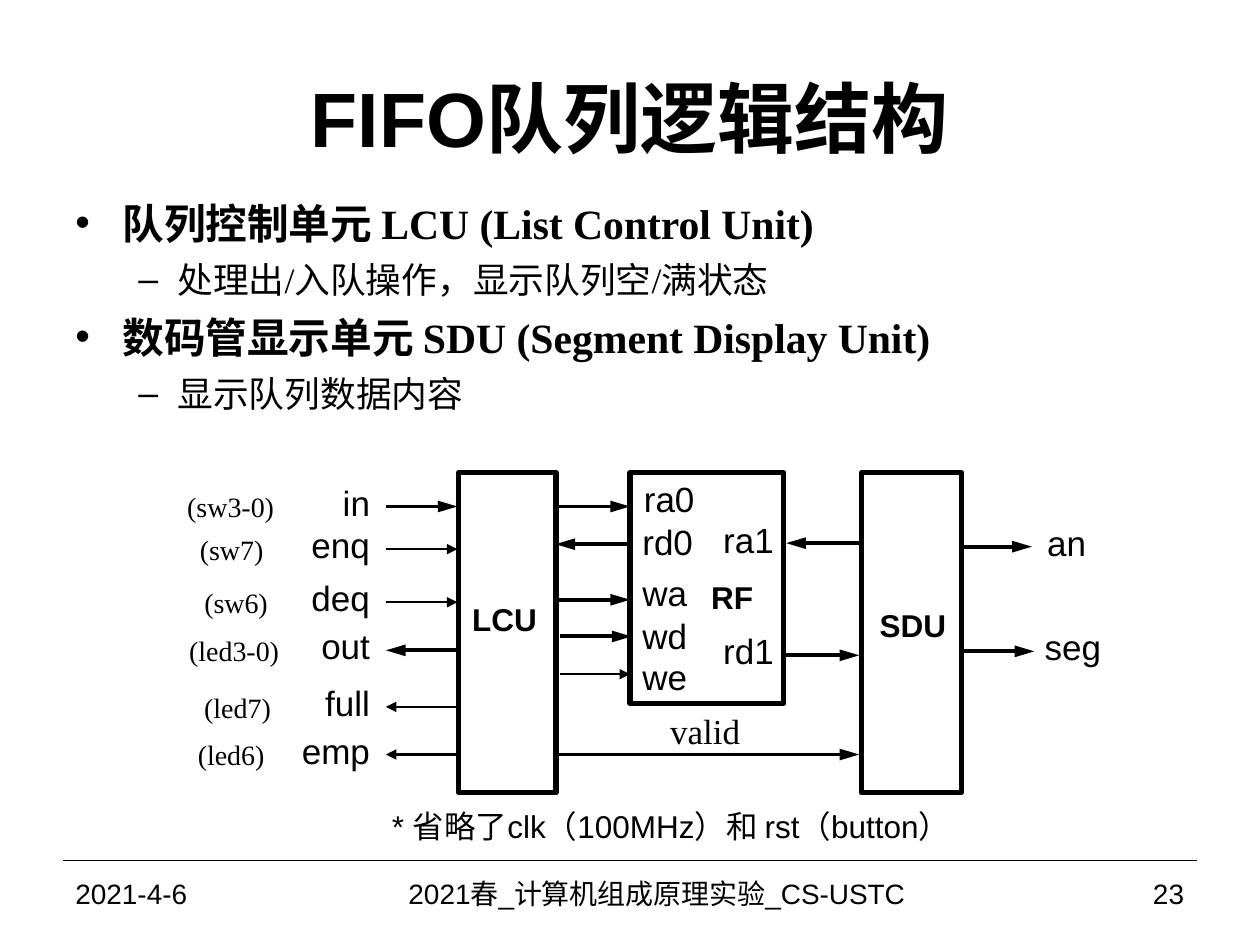
"""Build the slide on the logic structure of a FIFO queue."""
from lxml import etree
from pptx import Presentation
from pptx import util as u
from pptx.dml.color import RGBColor
from pptx.enum import shapes, text
from pptx.oxml import ns

LEFT, CENTER, RIGHT = text.PP_ALIGN.LEFT, text.PP_ALIGN.CENTER, text.PP_ALIGN.RIGHT
SERIF = "Times New Roman"
BLACK = "000000"
LABEL_HEIGHT = 0.84

deck = Presentation()
deck.slide_width, deck.slide_height = u.Cm(25.4), u.Cm(19.05)
slide = deck.slides.add_slide(deck.slide_layouts[6])


def label(words, left, width, middle, size=20, align=LEFT, name="Arial", bold=False):
    box = slide.shapes.add_textbox(
        u.Cm(left), u.Cm(middle - LABEL_HEIGHT / 2), u.Cm(width), u.Cm(LABEL_HEIGHT))
    frame = box.text_frame
    layout = {"margin_left": 0, "margin_right": 0, "margin_top": 0, "margin_bottom": 0,
              "word_wrap": False, "vertical_anchor": text.MSO_ANCHOR.MIDDLE}
    for key, value in layout.items():
        setattr(frame, key, value)
    line = frame.paragraphs[0]
    line.alignment = align
    run = line.add_run()
    run.text = words
    for key, value in {"size": u.Pt(size), "name": name, "bold": bold}.items():
        setattr(run.font, key, value)
    run.font.color.rgb = RGBColor.from_string(BLACK)


def wire(start, end, y, width=2.25, arrow=True):
    link = slide.shapes.add_connector(
        shapes.MSO_CONNECTOR.STRAIGHT, u.Cm(start), u.Cm(y), u.Cm(end), u.Cm(y))
    link.line.width = u.Pt(width)
    link.line.color.rgb = RGBColor.from_string(BLACK)
    if arrow:
        etree.SubElement(link.line._get_or_add_ln(), ns.qn("a:tailEnd"),
                         type="triangle", w="med", len="lg" if width > 2 else "med")
    etree.SubElement(link._element.spPr, ns.qn("a:effectLst"))


wire(1.27, 24.13, 17.35, 0.75, arrow=False)
label("FIFO队列逻辑结构", 1.27, 22.86, 2.35, 44, CENTER, bold=True)

outline = slide.shapes.add_textbox(u.Cm(1.27), u.Cm(3.86), u.Cm(22.86), u.Cm(4.6)).text_frame
outline.word_wrap = True
levels = [
    {"bullet": "•", "margin": 0.95, "hang": 0.95, "size": 23.8, "bold": True},
    {"bullet": "–", "margin": 2.06, "hang": 0.79, "size": 20.4, "bold": False},
]
points = [
    (0, "队列控制单元 LCU (List Control Unit)"),
    (1, "处理出/入队操作，显示队列空/满状态"),
    (0, "数码管显示单元 SDU (Segment Display Unit)"),
    (1, "显示队列数据内容"),
]
for index, (depth, words) in enumerate(points):
    point = outline.add_paragraph() if index else outline.paragraphs[0]
    level = levels[depth]
    point.level = depth
    props = point._p.get_or_add_pPr()
    props.set("marL", str(u.Cm(level["margin"])))
    props.set("indent", str(-u.Cm(level["hang"])))
    etree.SubElement(props, ns.qn("a:buFont"), typeface="Arial")
    etree.SubElement(props, ns.qn("a:buChar"), char=level["bullet"])
    if index:
        point.space_before = u.Pt(6)
    run = point.add_run()
    run.text = words
    for key, value in {"size": u.Pt(level["size"]), "name": SERIF, "bold": level["bold"]}.items():
        setattr(run.font, key, value)
    run.font.color.rgb = RGBColor.from_string(BLACK)

for left, width, height in [(9.25, 1.96, 6.45), (12.7, 3.1, 4.65), (17.37, 2.01, 6.45)]:
    unit = slide.shapes.add_shape(
        shapes.MSO_SHAPE.RECTANGLE, u.Cm(left), u.Cm(9.53), u.Cm(width), u.Cm(height))
    unit.shadow.inherit = False
    unit.fill.background()
    unit.line.width = u.Pt(3)
    unit.line.color.rgb = RGBColor.from_string(BLACK)

for words, left, width, middle in [
        ("LCU", 9.27, 1.8, 12.48), ("RF", 14.06, 1.4, 12.04), ("SDU", 17.48, 1.85, 12.6)]:
    label(words, left, width, middle, 18, CENTER, bold=True)

board_ports = [
    ("in", "(sw3-0)", 4.65, 10.21, 2.25, True),
    ("enq", "(sw7)", 4.67, 11.07, 1.25, True),
    ("deq", "(sw6)", 4.76, 12.14, 1.25, True),
    ("out", "(led3-0)", 4.72, 13.11, 2.25, False),
    ("full", "(led7)", 4.79, 14.25, 1.5, False),
    ("emp", "(led6)", 4.66, 15.21, 1.5, False),
]
for port, pin, pin_center, y, width, inward in board_ports:
    label(port, 5.86, 1.6, y - 0.09, align=RIGHT)
    label(pin, pin_center - 1.3, 2.6, y, 16, CENTER, SERIF)
    wire(*((7.78, 9.22) if inward else (9.22, 7.78)), y, width)

unit_ports = [
    ("ra0", 12.98, 10.05, 11.25, 12.7, 10.21, 2.25),
    ("rd0", 12.95, 10.91, 12.7, 11.2, 10.97, 2.25),
    ("wa", 12.95, 11.95, 11.25, 12.7, 12.09, 2.25),
    ("wd", 12.95, 12.81, 11.28, 12.73, 12.83, 2.25),
    ("we", 12.95, 13.63, 11.28, 12.7, 13.59, 1.25),
    ("ra1", 14.58, 10.88, 17.32, 15.85, 10.95, 2.25),
    ("rd1", 14.58, 13.12, 15.85, 17.32, 13.21, 2.25),
    ("an", 21.11, 10.93, 19.37, 20.8, 11.02, 2.25),
    ("seg", 21.06, 13.04, 19.43, 20.85, 13.13, 2.25),
]
for port, left, middle, start, end, y, width in unit_ports:
    label(port, left, 1.4, middle)
    wire(start, end, y, width)

label("valid", 13.51, 2, 14.73, name=SERIF)
wire(11.23, 17.32, 15.21)
label("* 省略了clk（100MHz）和 rst（button）", 7.9, 13.2, 16.66, 18)

for words, left, width, align in [
        ("2021-4-6", 1.52, 5.4, LEFT),
        ("2021春_计算机组成原理实验_CS-USTC", 7.19, 12.1, CENTER),
        ("23", 19.73, 4.14, RIGHT)]:
    label(words, left, width, 18.01, 16, align)

deck.save("out.pptx")
